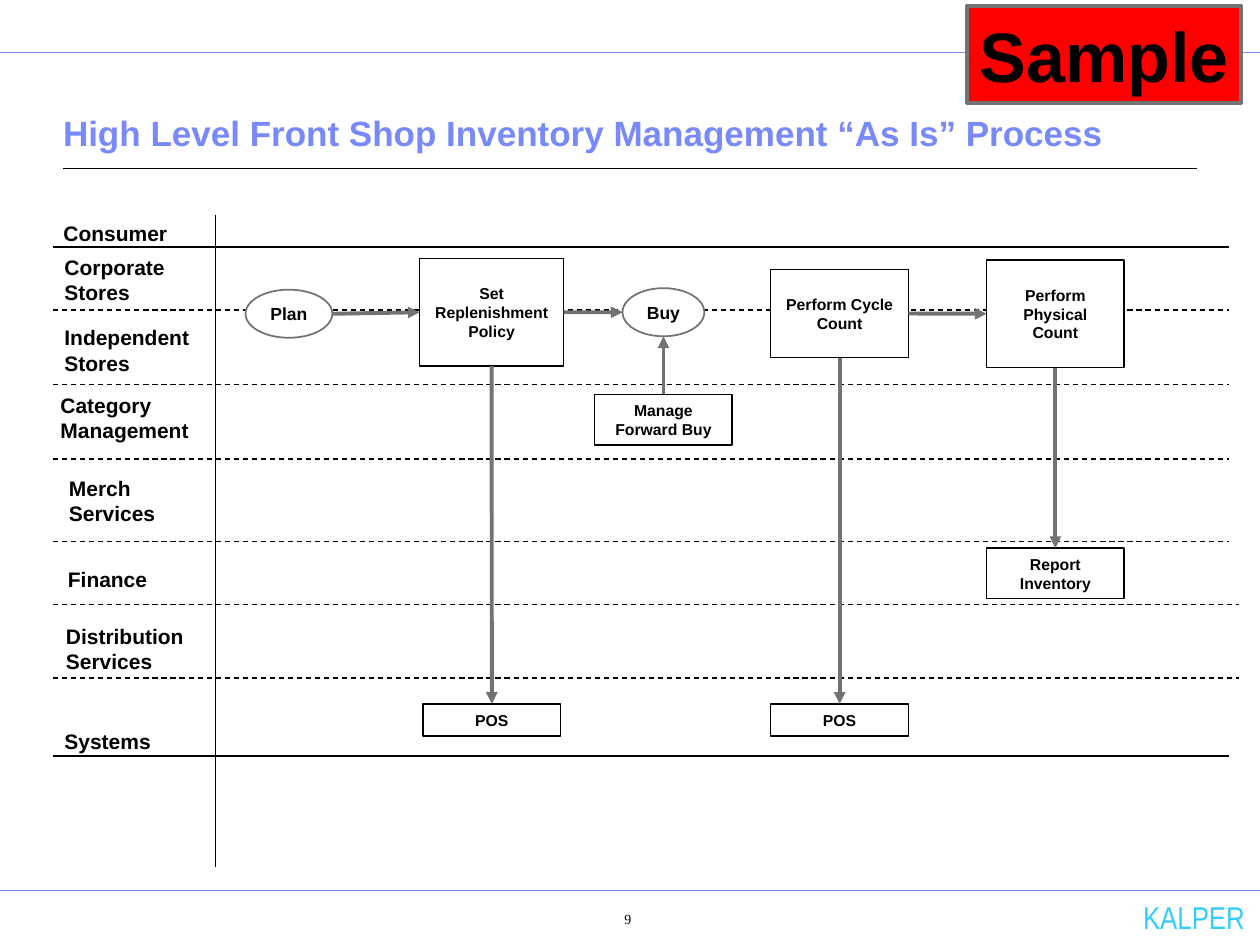
from lxml.etree import SubElement
from pptx import Presentation
from pptx.dml.color import RGBColor
from pptx.enum.dml import MSO_LINE
from pptx.enum.shapes import MSO_CONNECTOR, MSO_SHAPE
from pptx.enum.text import MSO_ANCHOR, MSO_AUTO_SIZE, PP_ALIGN
from pptx.oxml.ns import qn
from pptx.util import Cm, Pt

BLACK = RGBColor(0x00, 0x00, 0x00)
WHITE = RGBColor(0xFF, 0xFF, 0xFF)
GREY = RGBColor(0x72, 0x72, 0x72)
RED = RGBColor(0xFF, 0x00, 0x00)
PERIWINKLE = RGBColor(0x78, 0x89, 0xFB)
CYAN = RGBColor(0x33, 0xCC, 0xFF)

TOP, LEFT, BOTTOM, RIGHT = range(4)
SIDE_FRACTIONS = {TOP: (0.5, 0), LEFT: (0, 0.5), BOTTOM: (0.5, 1), RIGHT: (1, 0.5)}


def write_text(shape, lines, size, color=BLACK, bold=True, font="Arial",
               align=PP_ALIGN.LEFT, anchor=MSO_ANCHOR.MIDDLE, inset=0.25, wrap=True):
    """Fill a shape with one paragraph per line."""
    frame = shape.text_frame
    frame.word_wrap = wrap
    frame.auto_size = MSO_AUTO_SIZE.NONE
    frame.vertical_anchor = anchor
    frame.margin_left = frame.margin_right = Cm(inset)
    frame.margin_top = frame.margin_bottom = Cm(0.13)
    for index, line in enumerate(lines):
        para = frame.add_paragraph() if index else frame.paragraphs[0]
        para.alignment = align
        span = para.add_run()
        span.text = line
        span.font.name = font
        span.font.size = Pt(size)
        span.font.bold = bold
        span.font.color.rgb = color


def add_text(page, lines, left, top, width, height, size, **style):
    """Add a text box."""
    box = page.shapes.add_textbox(Cm(left), Cm(top), Cm(width), Cm(height))
    write_text(box, lines, size, **style)


def add_title(page, text):
    """Place and format the title placeholder."""
    title = page.shapes.title
    title.left, title.top, title.width, title.height = Cm(1.27), Cm(1.63), Cm(22.86), Cm(1.6)
    write_text(title, [text], 20, PERIWINKLE, anchor=MSO_ANCHOR.BOTTOM, inset=0)


def add_line(page, start, end, color=BLACK, weight=0.75, dashed=False):
    """Add a straight line between two points in centimetres."""
    line = page.shapes.add_connector(
        MSO_CONNECTOR.STRAIGHT, Cm(start[0]), Cm(start[1]), Cm(end[0]), Cm(end[1]))
    line.line.color.rgb = color
    line.line.width = Pt(weight)
    if dashed:
        line.line.dash_style = MSO_LINE.DASH
    SubElement(line._element.spPr, qn("a:effectLst"))
    return line


def add_node(page, text, left, top, width, height, kind=MSO_SHAPE.FLOWCHART_PROCESS,
             fill=WHITE, border=BLACK, weight=0.75, size=9, wrap=True):
    """Add a filled shape with centred bold text."""
    node = page.shapes.add_shape(kind, Cm(left), Cm(top), Cm(width), Cm(height))
    node.shadow.inherit = False
    node.fill.solid()
    node.fill.fore_color.rgb = fill
    node.line.color.rgb = border
    node.line.width = Pt(weight)
    write_text(node, [text], size, align=PP_ALIGN.CENTER, wrap=wrap)
    return node


def add_ellipse(page, text, left, top, width):
    """Add an oval activity."""
    return add_node(page, text, left, top, width, 0.97, MSO_SHAPE.OVAL,
                    border=GREY, weight=1, size=10, wrap=False)


def side_middle(node, side):
    """Return the middle of a side in centimetres."""
    across, down = SIDE_FRACTIONS[side]
    return ((node.left + node.width * across) / Cm(1),
            (node.top + node.height * down) / Cm(1))


def add_arrow(page, source, source_side, target, target_side):
    """Add an arrow between two nodes, joined wherever it meets a rectangle."""
    arrow = add_line(page, side_middle(source, source_side),
                     side_middle(target, target_side), GREY, 2.25)
    if source.auto_shape_type != MSO_SHAPE.OVAL:
        arrow.begin_connect(source, source_side)
    if target.auto_shape_type != MSO_SHAPE.OVAL:
        arrow.end_connect(target, target_side)
    SubElement(arrow.line._get_or_add_ln(), qn("a:tailEnd"), type="triangle")


def add_frame(page):
    """Add the header, footer and title rules with the footer texts."""
    for height in (1.06, 17.96):
        add_line(page, (0, height), (25.4, height), PERIWINKLE, 0.5)
    add_line(page, (1.27, 3.4), (24.13, 3.4))
    add_text(page, ["KALPER"], 23.09, 18.06, 1.96, 0.84, 18, color=CYAN, bold=False,
             font="Arial Narrow", align=PP_ALIGN.CENTER, wrap=False)
    add_text(page, ["9"], 11.2, 18.12, 2.92, 0.8, 8, bold=False,
             font="Times New Roman", align=PP_ALIGN.CENTER)


def add_lanes(page):
    """Add the swimlane rules and their labels."""
    add_line(page, (4.34, 4.34), (4.34, 17.48))
    for height in (4.98, 15.24):
        add_line(page, (1.07, height), (24.77, height))
    for height, end in ((6.25, 24.77), (7.75, 24.77), (9.25, 24.77),
                        (10.92, 24.77), (12.19, 24.97), (13.67, 24.97)):
        add_line(page, (1.07, height), (end, height), dashed=True)
    labels = [
        (["Consumer"], 1.04, 4.32), (["Corporate", "Stores"], 1.06, 5.01),
        (["Independent", "Stores"], 1.06, 6.44), (["Category", "Management"], 0.98, 7.8),
        (["Merch", "Services"], 1.15, 9.48), (["Finance"], 1.13, 11.3),
        (["Distribution", "Services"], 1.09, 12.46), (["Systems"], 1.06, 14.56),
    ]
    for lines, left, top in labels:
        add_text(page, lines, left, top, 3.8, 0.26 + 0.49 * len(lines), 12, inset=0.24)


def add_process(page):
    """Add the activities and the arrows between them."""
    plan = add_ellipse(page, "Plan", 4.95, 5.84, 1.75)
    buy = add_ellipse(page, "Buy", 12.55, 5.81, 1.65)
    policy = add_node(page, "Set Replenishment Policy", 8.46, 5.21, 2.9, 2.17)
    cycle = add_node(page, "Perform Cycle Count", 15.54, 5.43, 2.77, 1.78)
    physical = add_node(page, "Perform Physical Count", 19.89, 5.24, 2.77, 2.17)
    forward = add_node(page, "Manage Forward Buy", 11.99, 7.95, 2.77, 1.02)
    report = add_node(page, "Report Inventory", 19.89, 11.05, 2.77, 1.02)
    policy_pos, cycle_pos = [add_node(page, "POS", left, 14.19, 2.77, 0.65)
                             for left in (8.53, 15.54)]
    for source, target in ((plan, policy), (policy, buy), (cycle, physical)):
        add_arrow(page, source, RIGHT, target, LEFT)
    for source, target in ((policy, policy_pos), (cycle, cycle_pos), (physical, report)):
        add_arrow(page, source, BOTTOM, target, TOP)
    add_arrow(page, forward, TOP, buy, BOTTOM)


def main():
    """Build and save the deck."""
    deck = Presentation()
    deck.slide_width, deck.slide_height = Cm(25.4), Cm(19.05)
    page = deck.slides.add_slide(deck.slide_layouts[5])
    add_frame(page)
    add_title(page, "High Level Front Shop Inventory Management “As Is” Process")
    add_lanes(page)
    add_node(page, "Sample", 19.5, 0.12, 5.52, 1.95, MSO_SHAPE.RECTANGLE,
             RED, GREY, 2.25, 40, wrap=False)
    add_process(page)
    deck.save("out.pptx")


if __name__ == "__main__":
    main()
